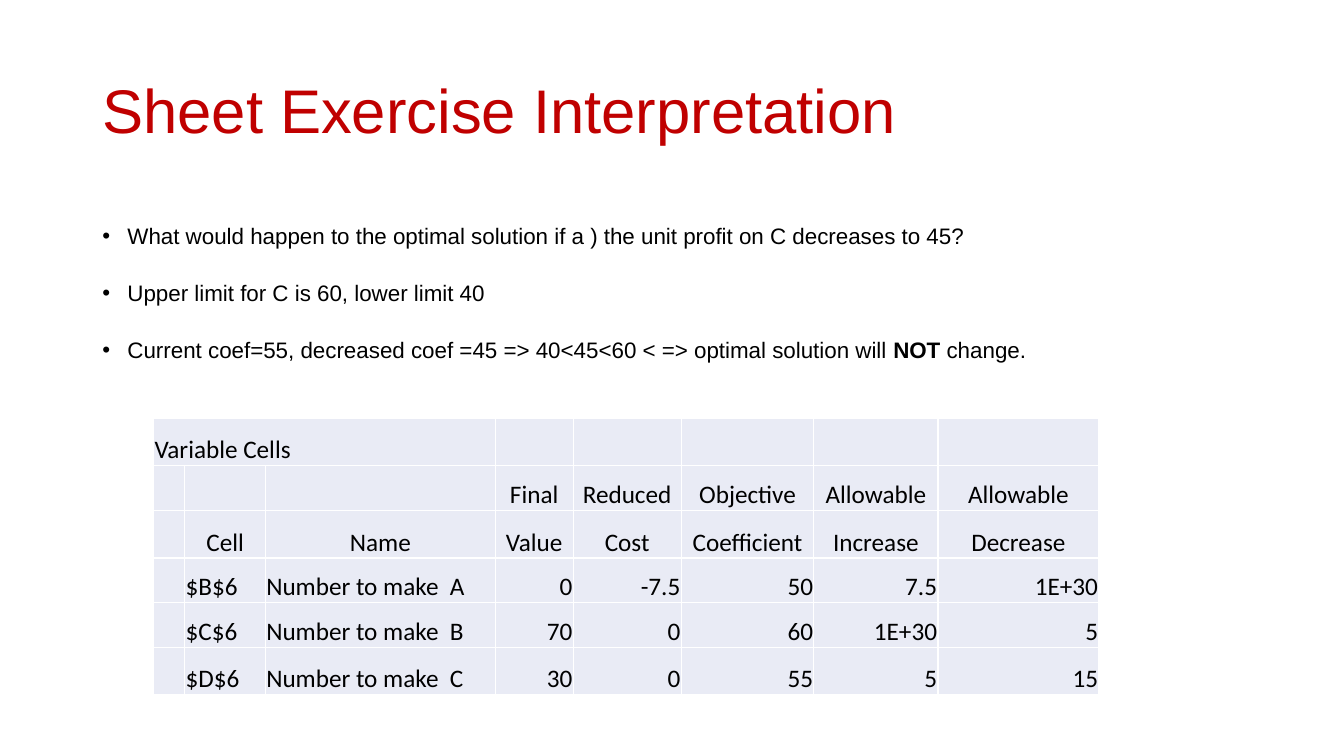
from lxml import etree
from pptx import Presentation
from pptx import util as u
from pptx.dml.color import RGBColor
from pptx.enum import text
from pptx.oxml import ns

Pt = u.Pt
hues = {"title": "C00000", "ink": "000000", "cell": "E9EBF5", "rule": "FFFFFF"}


def style(font, face, size, hue):
    font.name, font.size, font.bold = face, Pt(size), False
    font.color.rgb = RGBColor.from_string(hues[hue])


def frame(slide, left, top, width, height):
    body = slide.shapes.add_textbox(Pt(left), Pt(top), Pt(width), Pt(height)).text_frame
    body.word_wrap = True
    return body


deck = Presentation()
deck.slide_width, deck.slide_height = Pt(960), Pt(540)
slide = deck.slides.add_slide(deck.slide_layouts[6])

title = frame(slide, 66, 28.75, 828, 104.4)
title.vertical_anchor = text.MSO_ANCHOR.MIDDLE
head = title.paragraphs[0]
head.text = "Sheet Exercise Interpretation"
head.line_spacing = 0.9
style(head.font, "Arial", 44, "title")

points = [
    ["What would happen to the optimal solution if a ) the unit profit on C decreases to 45?"],
    ["Upper limit for C is 60, lower limit 40"],
    ["Current coef=55, decreased coef =45 => 40<45<60 < => optimal solution will ", "NOT", " change."],
]
body = frame(slide, 66, 143.75, 828, 342.6)
for i, parts in enumerate(points):
    para = body.paragraphs[0] if i == 0 else body.add_paragraph()
    props = para._p.get_or_add_pPr()
    props.set("marL", str(Pt(18)))
    props.set("indent", str(Pt(-18)))
    etree.SubElement(props, ns.qn("a:buFont")).set("typeface", "Arial")
    etree.SubElement(props, ns.qn("a:buChar")).set("char", "•")
    para.line_spacing = 1.6
    para.space_before = Pt(10 if i else 0)
    style(para.font, "Arial", 16, "ink")
    for part in parts:
        run = para.add_run()
        run.text = part
        if part == "NOT":
            run.font.bold = True

rows = [
    ["Variable Cells", "", "", "", "", "", "", ""],
    ["", "", "", "Final", "Reduced", "Objective", "Allowable", "Allowable"],
    ["", "Cell", "Name", "Value", "Cost", "Coefficient", "Increase", "Decrease"],
    ["", "$B$6", "Number to make  A", "0", "-7.5", "50", "7.5", "1E+30"],
    ["", "$C$6", "Number to make  B", "70", "0", "60", "1E+30", "5"],
    ["", "$D$6", "Number to make  C", "30", "0", "55", "5", "15"],
]
widths = [22.2, 57.6, 164.2, 55.6, 77.2, 94.8, 88.6, 115]
heights = [33.7, 32, 33.9, 32, 32, 33.7]
grid = slide.shapes.add_table(len(rows), len(widths), Pt(109.8), Pt(299),
                              Pt(sum(widths)), Pt(sum(heights))).table
grid.first_row = grid.horz_banding = False
for col, width in zip(grid.columns, widths):
    col.width = Pt(width)
for row, height in zip(grid.rows, heights):
    row.height = Pt(height)

for r, words in enumerate(rows):
    for c, word in enumerate(words):
        cell = grid.cell(r, c)
        cell.text = word
        cell.vertical_anchor = text.MSO_ANCHOR.BOTTOM
        cell.margin_left = cell.margin_right = cell.margin_top = Pt(0.6)
        cell.margin_bottom = Pt(0)
        para = cell.text_frame.paragraphs[0]
        if r in (1, 2):
            para.alignment = text.PP_ALIGN.CENTER
        elif r > 2 and c > 2:
            para.alignment = text.PP_ALIGN.RIGHT
        style(para.font, "Calibri", 18, "ink")
        props = cell._tc.get_or_add_tcPr()
        for side in "LRTB":
            line = etree.SubElement(props, ns.qn("a:ln" + side), w=str(Pt(1)))
            fill = etree.SubElement(line, ns.qn("a:solidFill"))
            etree.SubElement(fill, ns.qn("a:srgbClr"), val=hues["rule"])
        cell.fill.solid()
        cell.fill.fore_color.rgb = RGBColor.from_string(hues["cell"])
grid.cell(0, 0).merge(grid.cell(0, 2))

deck.save("out.pptx")
